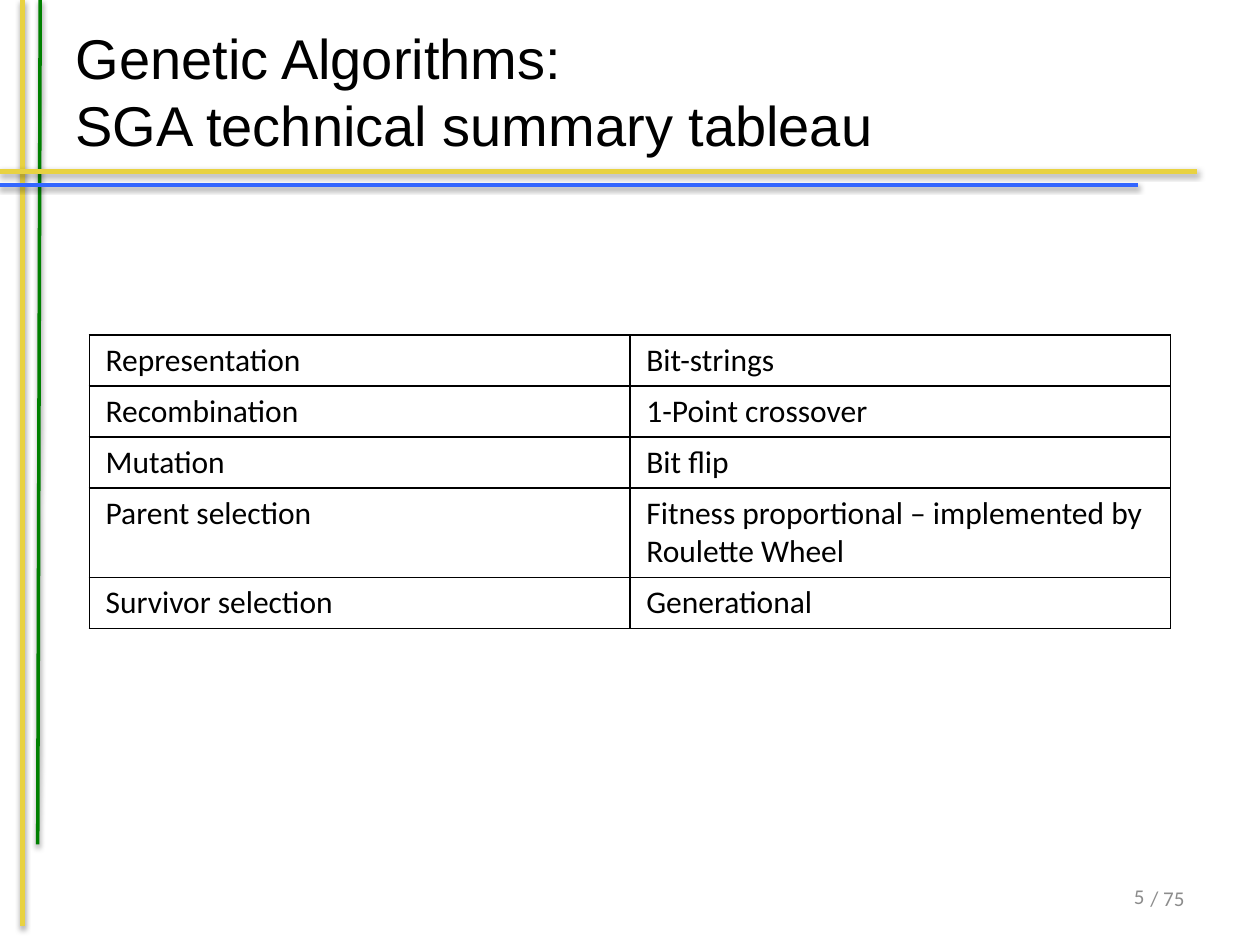
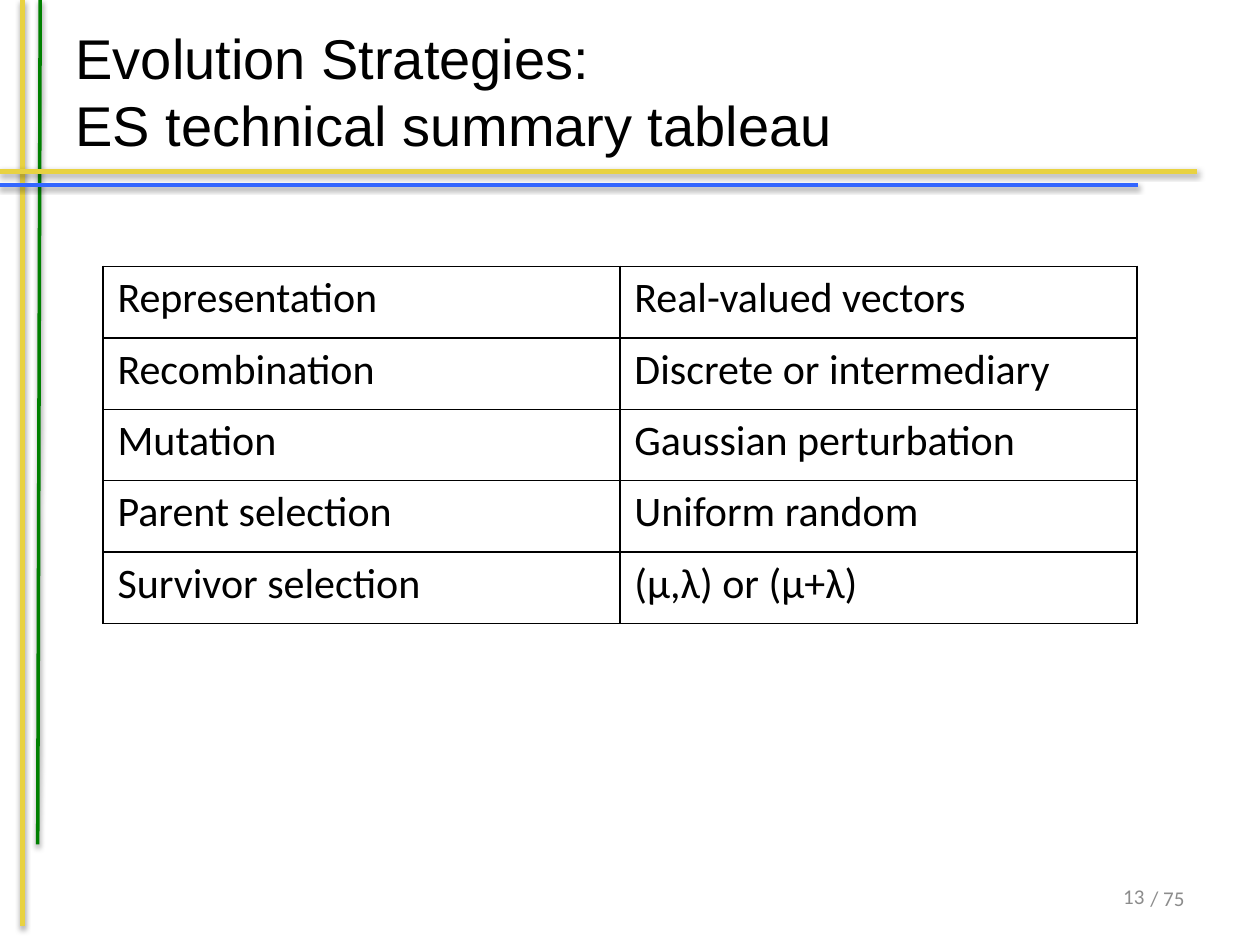
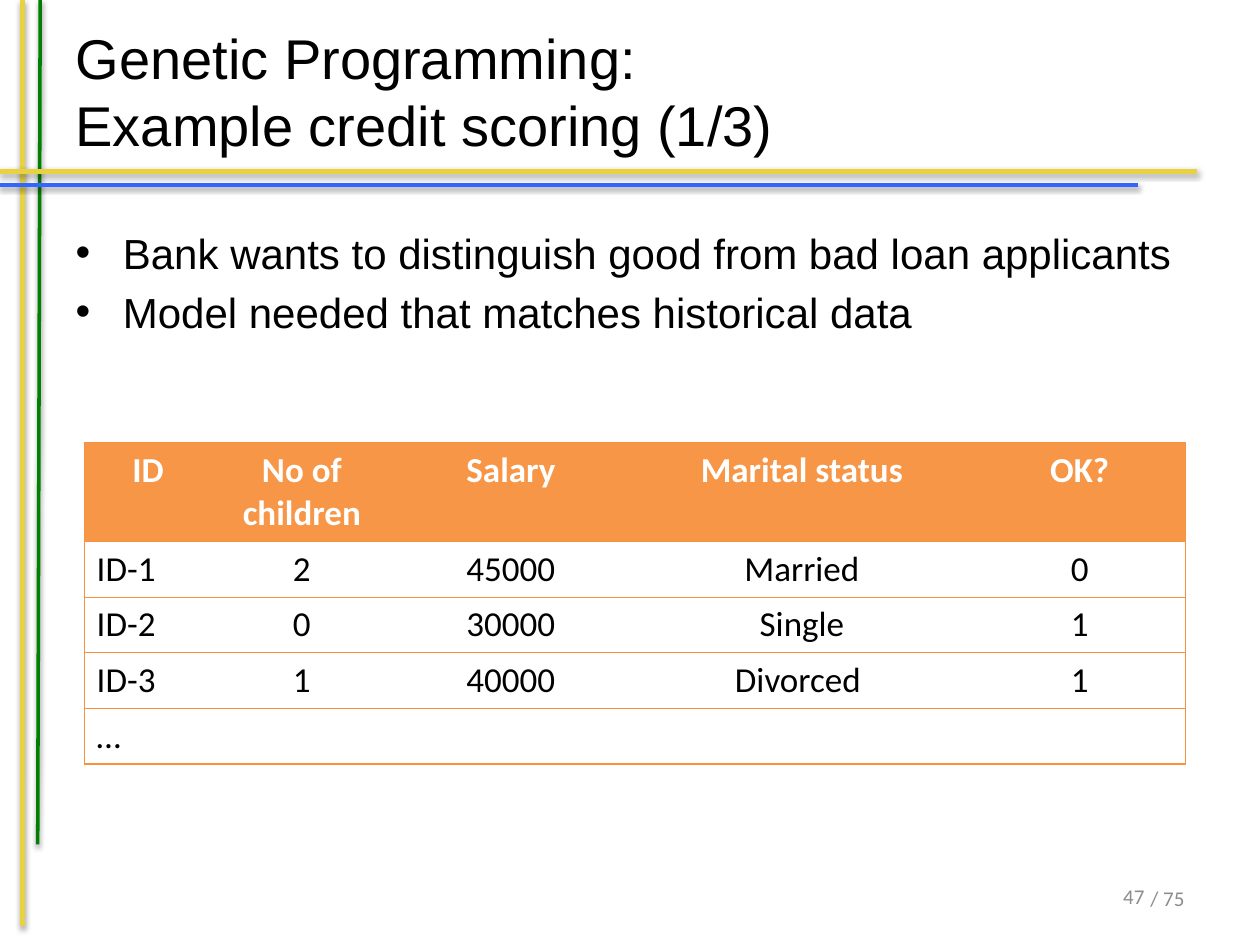
import lxml.etree
import pptx
import pptx.dml.color
import pptx.enum.shapes
import pptx.enum.text
import pptx.oxml
import pptx.oxml.ns
import pptx.util

Cm = pptx.util.Cm
Pt = pptx.util.Pt
RGB = pptx.dml.color.RGBColor
ALIGN = pptx.enum.text.PP_ALIGN
ANCHOR = pptx.enum.text.MSO_ANCHOR

BLACK = RGB(0x00, 0x00, 0x00)
WHITE = RGB(0xFF, 0xFF, 0xFF)
GRAY = RGB(0x8C, 0x8C, 0x8C)
GOLD = RGB(0xE8, 0xD2, 0x41)
GREEN = RGB(0x00, 0x80, 0x00)
BLUE = RGB(0x33, 0x66, 0xFF)
ORANGE = RGB(0xF7, 0x96, 0x46)
EDGE = RGB(0xF6, 0x92, 0x40)

HEAD = "Arial"
TEXT = "Calibri"
TOTAL = 75
NS = pptx.oxml.ns.nsdecls("a")

# x1, y1, x2, y2 in cm, colour, width in points
RULES = [
    (0.46, 0, 0.46, 18.67, GOLD, 3),
    (0.81, 0, 0.76, 17.02, GREEN, 2),
    (0, 3.45, 24.13, 3.45, GOLD, 3),
    (0, 3.73, 22.94, 3.73, BLUE, 2),
]
SHADOW = (
    f'<a:effectLst {NS}><a:outerShdw blurRad="{Pt(3.1)}" dist="{Pt(1.6)}" '
    'dir="5400000" rotWithShape="0"><a:srgbClr val="000000">'
    '<a:alpha val="38000"/></a:srgbClr></a:outerShdw></a:effectLst>'
)

TOPICS = ["Representation", "Recombination", "Mutation",
          "Parent selection", "Survivor selection"]
SGA = ["Bit-strings", "1-Point crossover", "Bit flip",
       "Fitness proportional – implemented by Roulette Wheel", "Generational"]
ES = ["Real-valued vectors", "Discrete or intermediary",
      "Gaussian perturbation", "Uniform random", "(μ,λ) or (μ+λ)"]
LOANS = [
    ["ID", "No of children", "Salary", "Marital status", "OK?"],
    ["ID-1", "2", "45000", "Married", "0"],
    ["ID-2", "0", "30000", "Single", "1"],
    ["ID-3", "1", "40000", "Divorced ", "1"],
    ["…", "", "", "", ""],
]


class Deck:
    def __init__(self):
        self.prs = pptx.Presentation()
        self.prs.slide_width = Cm(25.4)
        self.prs.slide_height = Cm(19.05)
        self.slide = None

    def start(self, layout, title, page):
        """Add a slide with its rules, title and page number."""
        self.slide = self.prs.slides.add_slide(self.prs.slide_layouts[layout])
        for rule in RULES:
            self.rule(*rule)
        self.title(title)
        self.label(f"/ {TOTAL}", 22.91, 17.73, 1.22, 0.76)
        self.label(str(page), 20.7, 17.37, 2.62, 1.4, ANCHOR.MIDDLE)

    def rule(self, x1, y1, x2, y2, color, width):
        kind = pptx.enum.shapes.MSO_CONNECTOR.STRAIGHT
        line = self.slide.shapes.add_connector(
            kind, Cm(x1), Cm(y1), Cm(x2), Cm(y2))
        line.line.color.rgb = color
        line.line.width = Pt(width)
        line.element.spPr.append(pptx.oxml.parse_xml(SHADOW))

    def run(self, para, text, font, size, color=BLACK, bold=False):
        run = para.add_run()
        run.text = text
        run.font.name = font
        run.font.size = Pt(size)
        run.font.color.rgb = color
        run.font.bold = bold

    def place(self, shape, x, y, w, h):
        shape.left, shape.top = Cm(x), Cm(y)
        shape.width, shape.height = Cm(w), Cm(h)
        shape.text_frame.auto_size = pptx.enum.text.MSO_AUTO_SIZE.NONE

    def title(self, lines):
        shape = self.slide.shapes.title
        self.place(shape, 1.27, 0.23, 22.86, 3.18)
        shape.text_frame.vertical_anchor = ANCHOR.MIDDLE
        para = shape.text_frame.paragraphs[0]
        para.alignment = ALIGN.LEFT
        for i, line in enumerate(lines):
            if i:
                para.add_line_break()
            self.run(para, line, HEAD, 32)

    def label(self, text, x, y, w, h, anchor=ANCHOR.TOP):
        box = self.slide.shapes.add_textbox(Cm(x), Cm(y), Cm(w), Cm(h))
        frame = box.text_frame
        frame.word_wrap = anchor == ANCHOR.MIDDLE
        frame.vertical_anchor = anchor
        frame.paragraphs[0].alignment = ALIGN.RIGHT
        self.run(frame.paragraphs[0], text, TEXT, 12, GRAY)

    def list(self, items):
        body = self.slide.placeholders[1]
        self.place(body, 1.27, 4.45, 22.86, 12.57)
        for i, item in enumerate(items):
            frame = body.text_frame
            para = frame.add_paragraph() if i else frame.paragraphs[0]
            para.space_before = Pt(5 if i else 0)
            self.run(para, item, HEAD, 24)

    def border(self, cell, sides, color, width):
        """Line the given sides of a cell and clear the others."""
        props = cell._tc.get_or_add_tcPr()
        for side in "LRTB":
            fill = (f'<a:solidFill><a:srgbClr val="{color}"/></a:solidFill>'
                    if side in sides else "<a:noFill/>")
            props.append(pptx.oxml.parse_xml(
                f'<a:ln{side} {NS} w="{Pt(width)}">{fill}</a:ln{side}>'))

    def grid(self, data, x, y, cols, rows):
        """Add a bare table and return it."""
        frame = self.slide.shapes.add_table(
            len(data), len(cols), Cm(x), Cm(y), Cm(sum(cols)), Cm(sum(rows)))
        table = frame.table
        table.first_row = table.horz_banding = False
        for col, width in zip(table.columns, cols):
            col.width = Cm(width)
        for row, height in zip(table.rows, rows):
            row.height = Cm(height)
        return table

    def cell(self, cell, text, size, pad, color=BLACK, fill=None, bold=False,
             align=ALIGN.LEFT):
        cell.margin_left = cell.margin_right = Cm(pad)
        if fill is None:
            cell.fill.background()
        else:
            cell.fill.solid()
            cell.fill.fore_color.rgb = fill
        para = cell.text_frame.paragraphs[0]
        para.alignment = align
        if text:
            self.run(para, text, TEXT, size, color, bold)

    def tableau(self, values, x, y, width, rows, size, pad):
        """Add a two-column summary of an algorithm."""
        data = list(zip(TOPICS, values))
        table = self.grid(data, x, y, [width] * 2, rows)
        for r, row in enumerate(data):
            for c, text in enumerate(row):
                self.border(table.cell(r, c), "LRTB", BLACK, 1)
                self.cell(table.cell(r, c), text, size, pad)

    def loans(self, data, x, y, cols, rows):
        """Add a table with a filled head and lines between rows."""
        table = self.grid(data, x, y, cols, rows)
        last = len(cols) - 1
        for r, row in enumerate(data):
            for c, text in enumerate(row):
                sides = "TB" + "L" * (c == 0) + "R" * (c == last)
                cell = table.cell(r, c)
                self.border(cell, sides, EDGE, 0.75)
                align = ALIGN.CENTER if c or not r else ALIGN.LEFT
                if r:
                    self.cell(cell, text, 20, 0.25, align=align)
                else:
                    self.cell(cell, text, 20, 0.25, WHITE, ORANGE, True, align)


def main():
    deck = Deck()
    deck.start(5, ["Genetic Algorithms:", "SGA technical summary tableau"], 5)
    deck.tableau(SGA, 1.8, 6.75, 10.9, [1.03, 1.03, 1.03, 1.8, 1.03], 18, 0.33)

    deck.start(5, ["Evolution Strategies:", "ES technical summary tableau"], 13)
    deck.tableau(ES, 2.08, 5.37, 10.42, [1.44] * 5, 24, 0.29)

    deck.start(1, ["Genetic Programming:", "Example credit scoring (1/3)"], 47)
    deck.list(["Bank wants to distinguish good from bad loan applicants",
               "Model needed that matches historical data"])
    deck.loans(LOANS, 1.7, 8.92, [2.57, 3.63, 4.8, 6.93, 4.27],
               [2] + [1.12] * 4)
    deck.prs.save("out.pptx")


if __name__ == "__main__":
    main()
